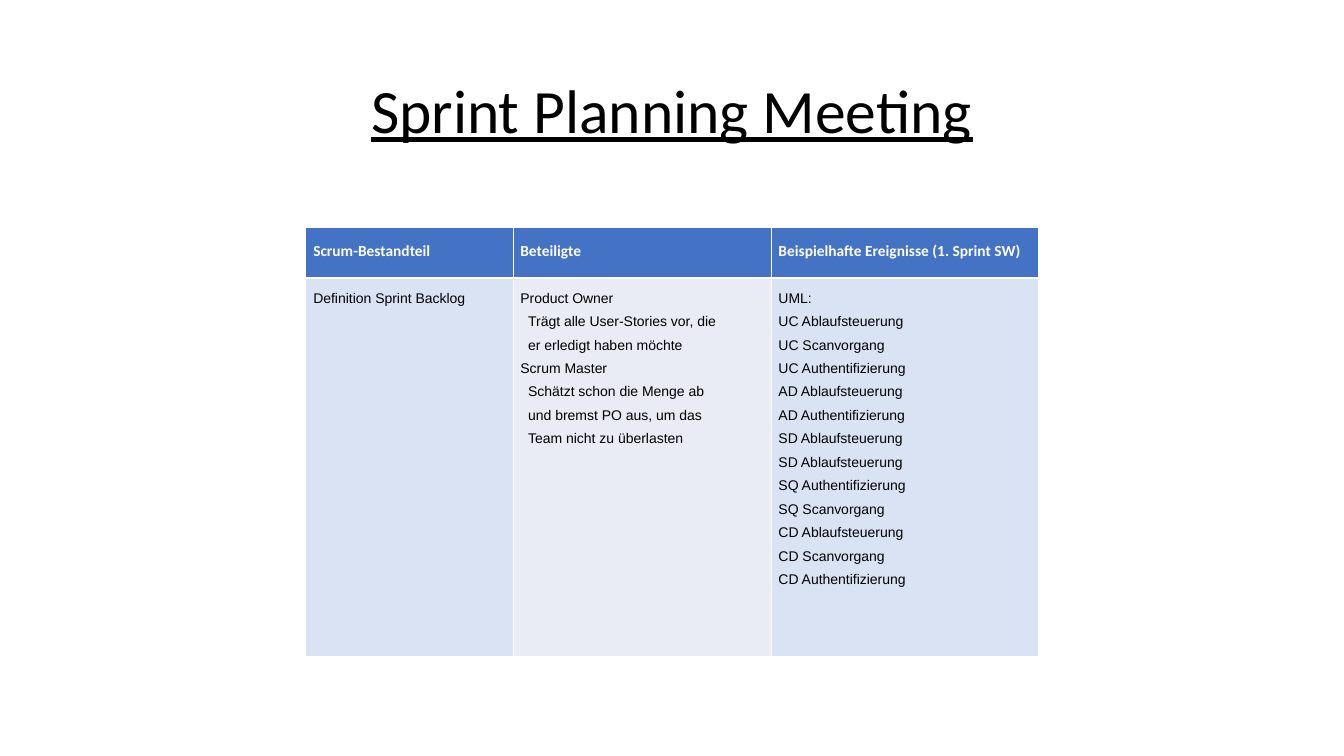
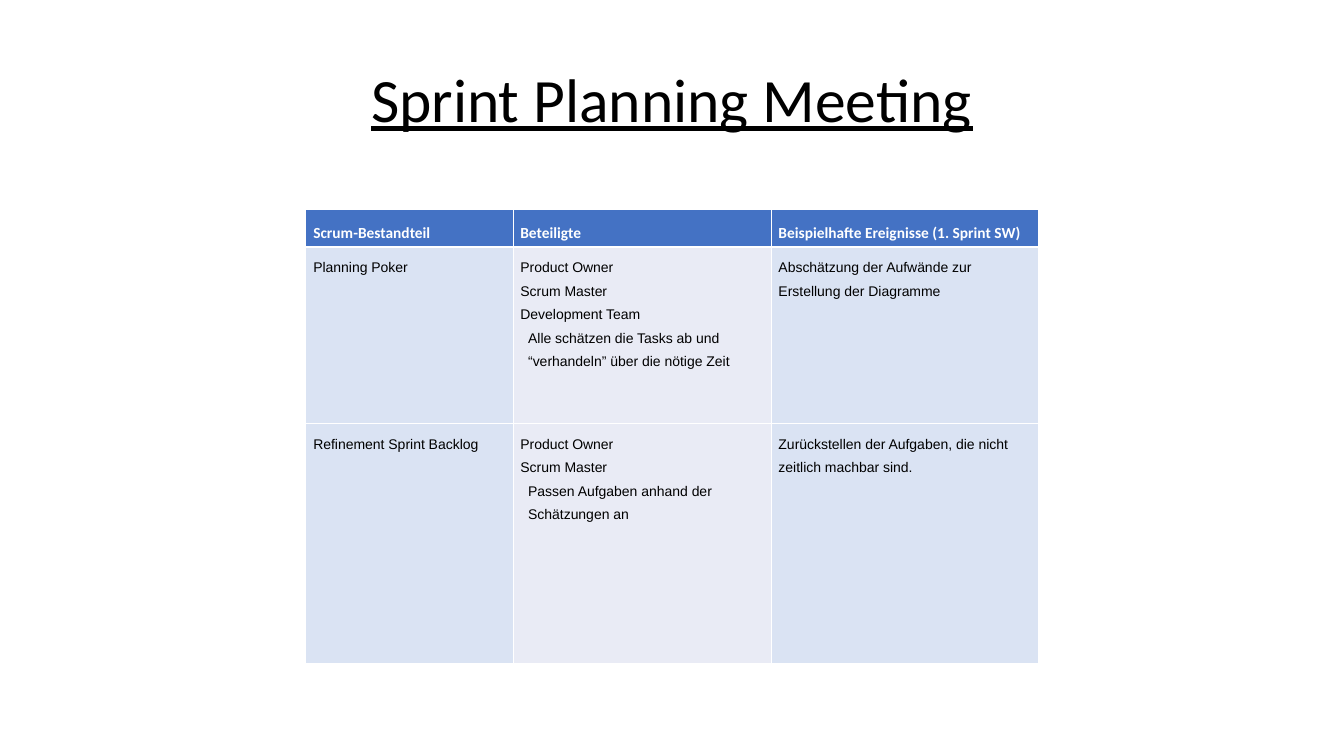
from lxml import etree
from pptx import Presentation
from pptx.dml.color import RGBColor
from pptx.enum.text import MSO_ANCHOR, PP_ALIGN
from pptx.oxml.ns import qn
from pptx.util import Pt

CENTER = PP_ALIGN.CENTER
LEFT = PP_ALIGN.LEFT
MIDDLE = MSO_ANCHOR.MIDDLE
TOP = MSO_ANCHOR.TOP

COLORS = {
    "text": "000000",
    "header_text": "FFFFFF",
    "header": "4472C4",
    "outer_column": "DAE3F3",
    "middle_column": "E9EBF5",
    "border": "FFFFFF",
}
SLIDE_WIDTH, SLIDE_HEIGHT = 960.5, 540
TITLE = "Sprint Planning Meeting"
TITLE_WIDTH, TITLE_HEIGHT = 828, 104.4
HEADERS = ["Scrum-Bestandteil", "Beteiligte", "Beispielhafte Ereignisse (1. Sprint SW)"]
COLUMN_WIDTHS = [148, 184.5, 191]
COLUMN_FILLS = ["outer_column", "middle_column", "outer_column"]
THIN, THICK = 0.45, 1.47
DETAIL = "> "
DETAIL_INDENT = 5.56

SLIDES = [
    {
        "title_top": 28.8,
        "table_top": 162.3,
        "row_heights": [36, 270.4],
        "rows": [
            [
                ["Definition Sprint Backlog"],
                [
                    "Product Owner",
                    "> Trägt alle User-Stories vor, die",
                    "> er erledigt haben möchte",
                    "Scrum Master",
                    "> Schätzt schon die Menge ab",
                    "> und bremst PO aus, um das",
                    "> Team nicht zu überlasten",
                ],
                [
                    "UML:",
                    "UC Ablaufsteuerung",
                    "UC Scanvorgang",
                    "UC Authentifizierung",
                    "AD Ablaufsteuerung",
                    "AD Authentifizierung",
                    "SD Ablaufsteuerung",
                    "SD Ablaufsteuerung",
                    "SQ Authentifizierung",
                    "SQ Scanvorgang",
                    "CD Ablaufsteuerung",
                    "CD Scanvorgang",
                    "CD Authentifizierung",
                ],
            ],
        ],
    },
    {
        "title_top": 20.9,
        "table_top": 149.3,
        "row_heights": [27.3, 126, 171.4],
        "rows": [
            [
                ["Planning Poker"],
                [
                    "Product Owner",
                    "Scrum Master",
                    "Development Team",
                    "> Alle schätzen die Tasks ab und",
                    "> “verhandeln” über die nötige Zeit",
                ],
                ["Abschätzung der Aufwände zur Erstellung der Diagramme"],
            ],
            [
                ["Refinement Sprint Backlog"],
                [
                    "Product Owner",
                    "Scrum Master",
                    "> Passen Aufgaben anhand der",
                    "> Schätzungen an",
                ],
                ["Zurückstellen der Aufgaben, die nicht zeitlich machbar sind."],
            ],
        ],
    },
]


def color(name):
    return RGBColor.from_string(COLORS[name])


def add_run(paragraph, text, font_name, size, color_name, bold=False, underline=False):
    run = paragraph.add_run()
    run.text = text
    run.font.name = font_name
    run.font.size = Pt(size)
    run.font.color.rgb = color(color_name)
    run.font.bold = bold
    run.font.underline = underline


def add_title(slide, top):
    left = (SLIDE_WIDTH - TITLE_WIDTH) / 2
    box = slide.shapes.add_textbox(Pt(left), Pt(top), Pt(TITLE_WIDTH), Pt(TITLE_HEIGHT))
    frame = box.text_frame
    frame.word_wrap = True
    frame.vertical_anchor = MIDDLE
    paragraph = frame.paragraphs[0]
    paragraph.alignment = CENTER
    paragraph.line_spacing = 0.9
    add_run(paragraph, TITLE, "Calibri", 44, "text", underline=True)


def set_borders(cell, top, bottom):
    properties = cell._tc.get_or_add_tcPr()
    for side, width in (("L", THIN), ("R", THIN), ("T", top), ("B", bottom)):
        line = etree.SubElement(properties, qn(f"a:ln{side}"), w=str(int(Pt(width))))
        fill = etree.SubElement(line, qn("a:solidFill"))
        etree.SubElement(fill, qn("a:srgbClr"), val=COLORS["border"])


def fill_cell(cell, lines, fill_name, is_header, top_border):
    cell.margin_left = cell.margin_right = Pt(5.4)
    cell.margin_top = cell.margin_bottom = Pt(3.6)
    cell.vertical_anchor = TOP
    set_borders(cell, top_border, THICK if is_header else THIN)
    cell.fill.solid()
    cell.fill.fore_color.rgb = color(fill_name)
    frame = cell.text_frame
    for index, line in enumerate(lines):
        paragraph = frame.add_paragraph() if index else frame.paragraphs[0]
        paragraph.alignment = LEFT
        paragraph.line_spacing = 1.5
        if line.startswith(DETAIL):
            paragraph._p.get_or_add_pPr().set("marL", str(int(Pt(DETAIL_INDENT))))
        text = line.removeprefix(DETAIL)
        if is_header:
            add_run(paragraph, text, "Calibri", 11, "header_text", bold=True)
        else:
            add_run(paragraph, text, "Arial", 10, "text")


def add_scrum_table(slide, top, row_heights, rows):
    width = sum(COLUMN_WIDTHS)
    left = (SLIDE_WIDTH - width) / 2
    table = slide.shapes.add_table(
        len(row_heights), len(COLUMN_WIDTHS),
        Pt(left), Pt(top), Pt(width), Pt(sum(row_heights)),
    ).table
    table.first_row = table.horz_banding = False
    for column, column_width in zip(table.columns, COLUMN_WIDTHS):
        column.width = Pt(column_width)
    for row, height in zip(table.rows, row_heights):
        row.height = Pt(height)
    header_row = [[header] for header in HEADERS]
    for row_index, contents in enumerate([header_row, *rows]):
        is_header = row_index == 0
        top_border = THICK if row_index == 1 else THIN
        for column_index, lines in enumerate(contents):
            fill_name = "header" if is_header else COLUMN_FILLS[column_index]
            cell = table.cell(row_index, column_index)
            fill_cell(cell, lines, fill_name, is_header, top_border)


def main():
    presentation = Presentation()
    presentation.slide_width = Pt(SLIDE_WIDTH)
    presentation.slide_height = Pt(SLIDE_HEIGHT)
    for content in SLIDES:
        slide = presentation.slides.add_slide(presentation.slide_layouts[6])
        add_title(slide, content["title_top"])
        add_scrum_table(slide, content["table_top"], content["row_heights"], content["rows"])
    presentation.save("out.pptx")


if __name__ == "__main__":
    main()
